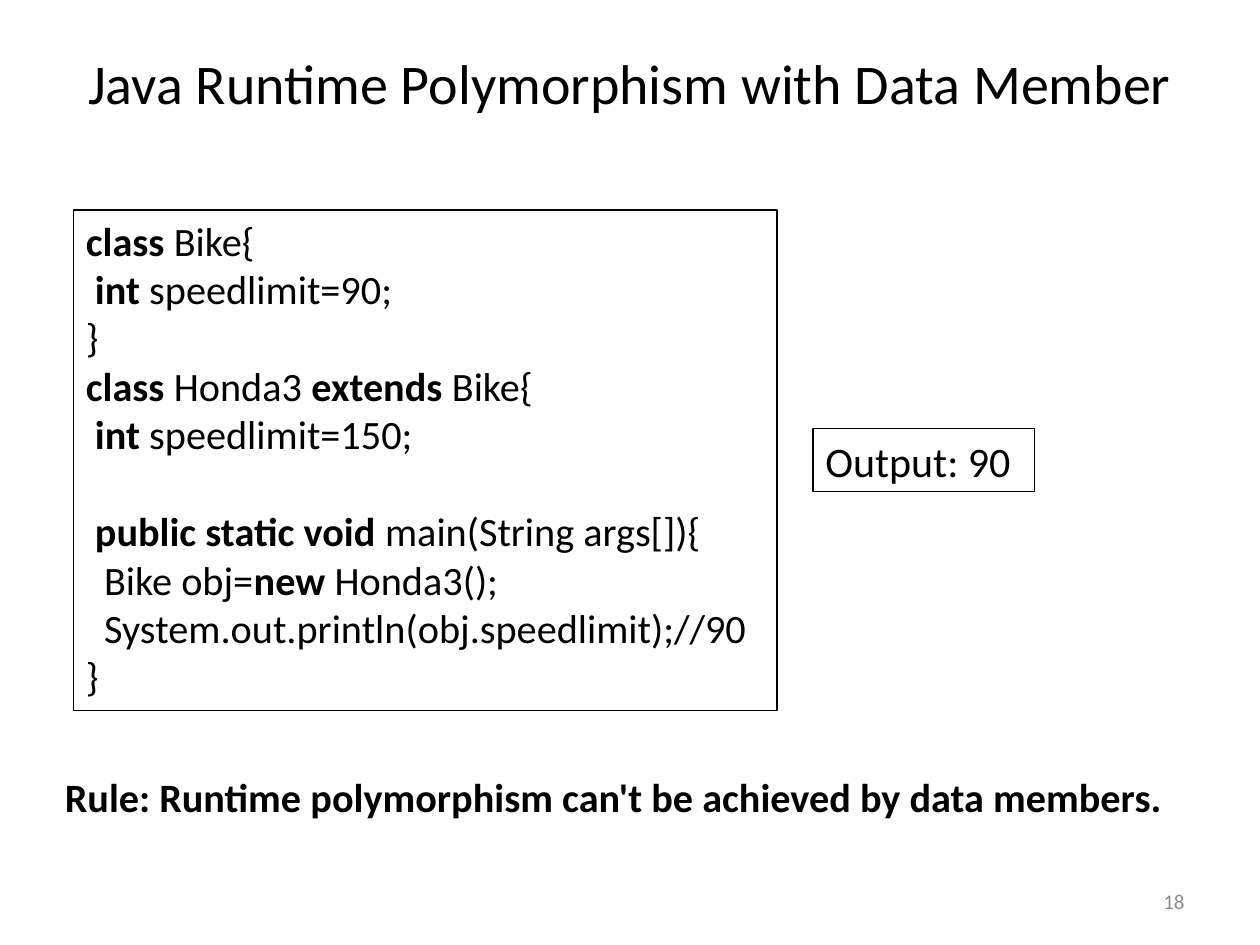
"""Build the slide on Java runtime polymorphism with data members."""
from pptx import Presentation
from pptx.dml.color import RGBColor
from pptx.enum.shapes import MSO_SHAPE
from pptx.enum.text import MSO_ANCHOR, PP_ALIGN
from pptx.util import Pt

BLACK = RGBColor(0x00, 0x00, 0x00)
GREY = RGBColor(0x8C, 0x8C, 0x8C)

CODE = """*class* Bike{
 *int* speedlimit=90;
}
*class* Honda3 *extends* Bike{
 *int* speedlimit=150;

 *public static void* main(String args[]){
  Bike obj=*new* Honda3();
  System.out.println(obj.speedlimit);//90
}"""
LEFT, MID, RIGHT = PP_ALIGN.LEFT, PP_ALIGN.CENTER, PP_ALIGN.RIGHT
TOP, HALF = MSO_ANCHOR.TOP, MSO_ANCHOR.MIDDLE

ITEMS = [
    (CODE, (42, 120, 402, 286), 23, BLACK, LEFT, TOP, True),
    ("*Rule: Runtime polymorphism can't be achieved by data members.*",
     (30, 438, 654, 35), 23, BLACK, LEFT, TOP, False),
    ("Output: 90", (464.5, 245, 126.5, 36), 24, BLACK, LEFT, HALF, True),
    ("Java Runtime Polymorphism with Data Member",
     (36, 21.6, 648, 50.4), 32, BLACK, MID, HALF, False),
    ("18", (516, 500.5, 168, 28.75), 12, GREY, RIGHT, HALF, False),
]

deck = Presentation()
deck.slide_width, deck.slide_height = Pt(720), Pt(540)
slide = deck.slides.add_slide(deck.slide_layouts[6])

for text, place, size, color, align, anchor, framed in ITEMS:
    area = [Pt(v) for v in place]
    if framed:
        box = slide.shapes.add_shape(MSO_SHAPE.RECTANGLE, *area)
        box.shadow.inherit = False
        box.fill.background()
        box.line.color.rgb = BLACK
        box.line.width = Pt(0.75)
    else:
        box = slide.shapes.add_textbox(*area)
    frame = box.text_frame
    for name, value in {"word_wrap": True, "vertical_anchor": anchor}.items():
        setattr(frame, name, value)
    para, gap = frame.paragraphs[0], 0
    for row, line in enumerate(text.split("\n")):
        if not line:
            gap = size * 1.22
            continue
        if row:
            para = frame.add_paragraph()
        for name, value in {"alignment": align, "space_before": Pt(gap)}.items():
            setattr(para, name, value)
        gap = 0
        for part, words in enumerate(line.split("*")):
            if not words:
                continue
            run = para.add_run()
            run.text = words
            form = {"name": "Calibri", "size": Pt(size), "bold": part % 2 == 1}
            for name, value in form.items():
                setattr(run.font, name, value)
            run.font.color.rgb = color

deck.save("out.pptx")
